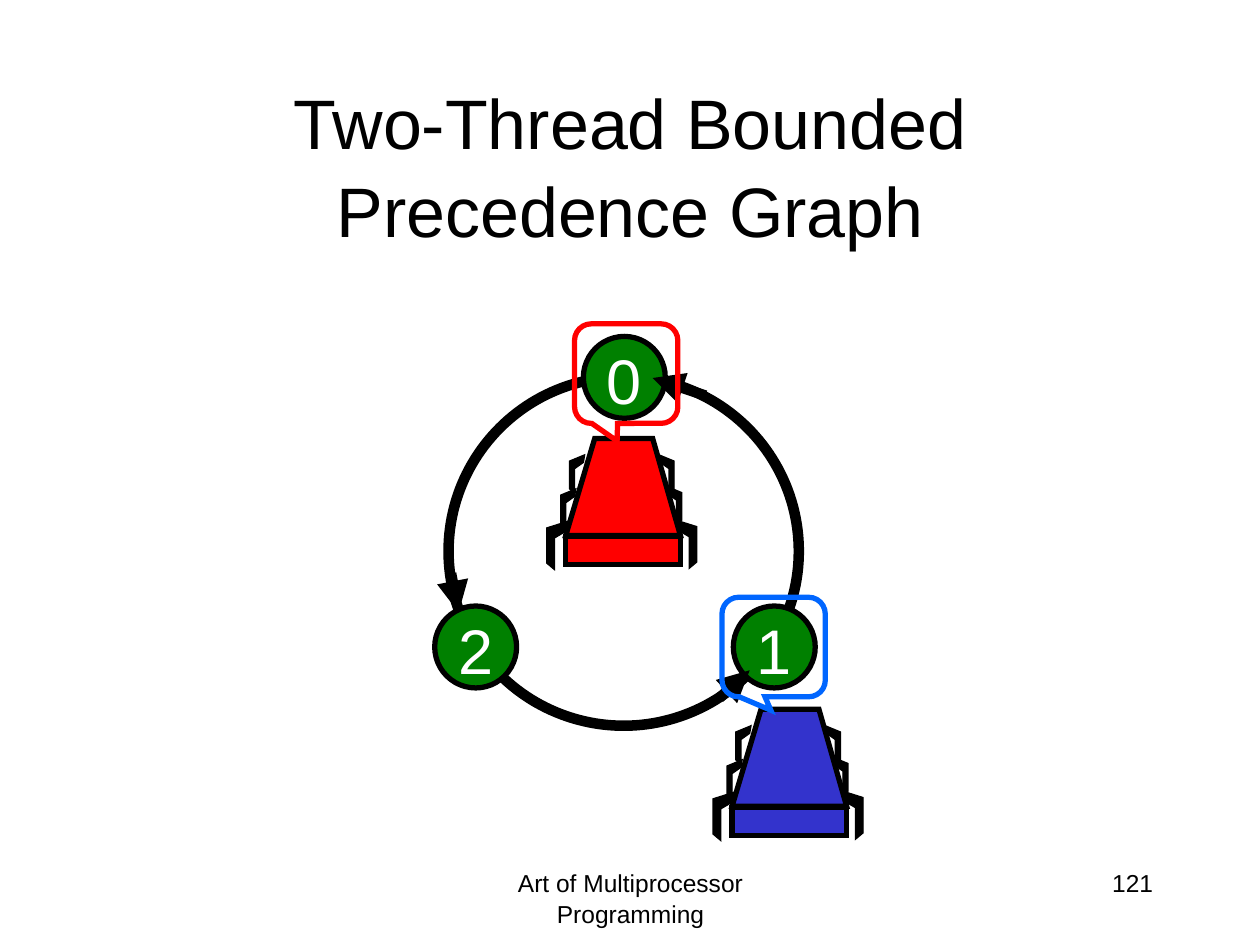
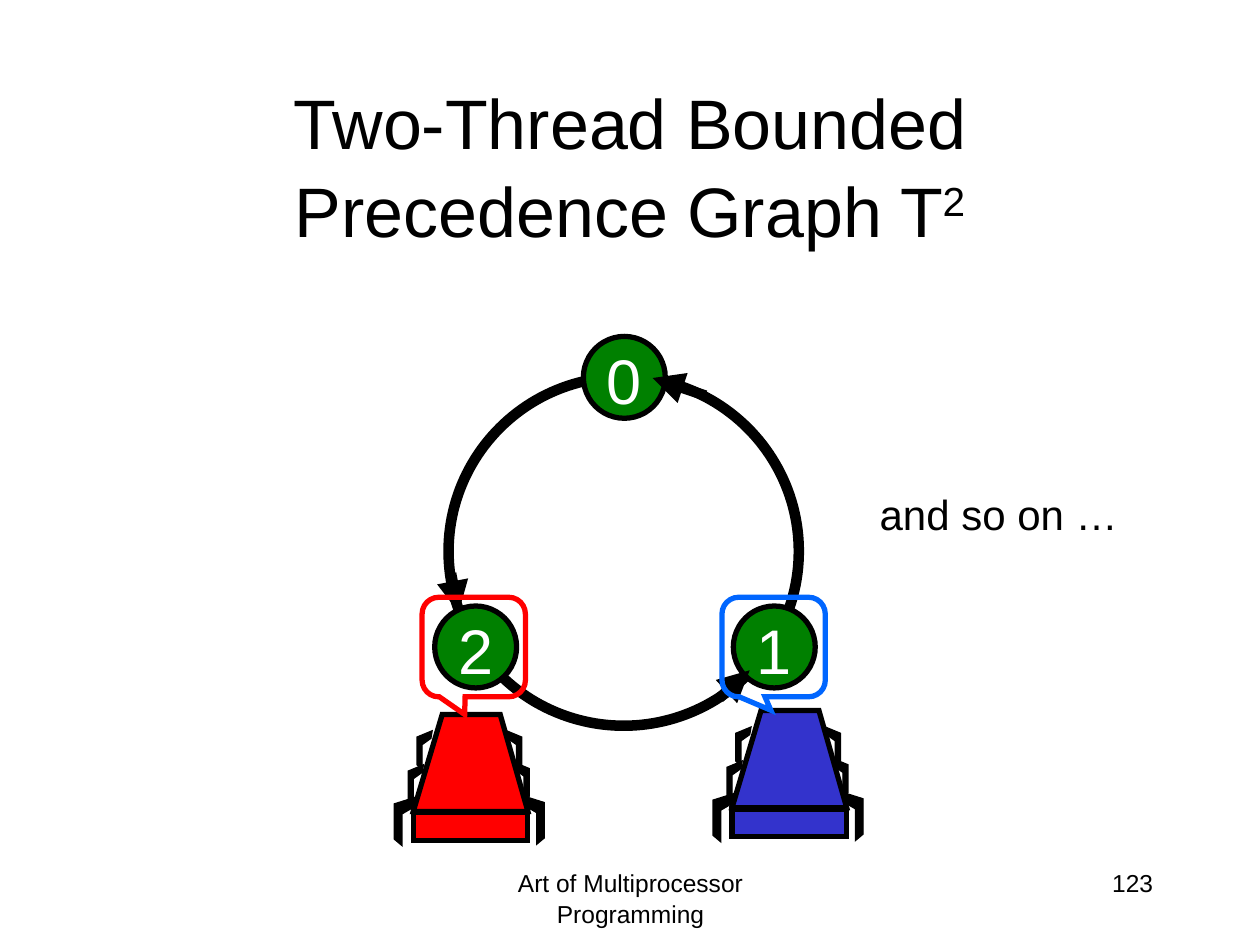
from lxml.etree import SubElement
from pptx import Presentation
from pptx.dml.color import RGBColor
from pptx.enum.shapes import MSO_CONNECTOR, MSO_SHAPE
from pptx.enum.text import MSO_ANCHOR as ANCHOR, PP_ALIGN as ALIGN
from pptx.oxml.ns import qn
from pptx.util import Inches, Pt

# Shared look
FONT = "Arial"
BLACK, WHITE, GREEN = "000000", "FFFFFF", "008000"
RED, BLUE, BRIGHT_BLUE = "FF0000", "3333CC", "0066FF"
LINE_SPACING = 1.05
FOOTER = "Art of Multiprocessor Programming"
TITLE = "Two-Thread Bounded Precedence Graph"

# Graph: node positions and the arrowheads laid along the ring
NODE_SIZE = 0.65
NODES = {"0": (4.63, 2.67), "1": (5.82, 4.81), "2": (3.45, 4.81)}
ARROWS = [(3.58, 4.55, 3.64, 4.86), (5.71, 5.54, 5.95, 5.32),
          (5.6, 3.14, 5.18, 3)]

# Thread figure: outlines and leg joints relative to the body's corner
BODY = [(0, 0.77), (0.23, 0), (0.69, 0), (0.91, 0.77)]
BIG_LEG = [(0, 0), (0.19, 0.06), (0.19, 0.34), (0.13, 0.39),
           (0.13, 0.14), (0.01, 0.07)]
SMALL_LEG = [(0, 0), (0.12, 0.05), (0.12, 0.27), (0.08, 0.31),
             (0.08, 0.11), (0.01, 0.06)]
LEGS = [(BIG_LEG, 0.85, 0.64, 1), (SMALL_LEG, 0.8, 0.38, 1),
        (SMALL_LEG, 0.74, 0.13, 1), (BIG_LEG, 0.04, 0.65, -1),
        (SMALL_LEG, 0.08, 0.4, -1), (SMALL_LEG, 0.15, 0.13, -1)]

# Callout pointers per thread colour
RED_POINTER = (-0.088, 0.677, 0.167)
BLUE_POINTER = (-0.027, 0.635, 0.167)


def rgb(value):
    return RGBColor.from_string(value)


def style(sp, fill, line, width):
    sp.shadow.inherit = False
    if fill:
        sp.fill.solid()
        sp.fill.fore_color.rgb = rgb(fill)
    else:
        sp.fill.background()
    sp.line.color.rgb = rgb(line)
    sp.line.width = Pt(width)
    SubElement(sp.line._get_or_add_ln(), qn("a:miter"), lim="800000")


def write(sp, text, size, color=BLACK, align=ALIGN.CENTER,
          anchor=ANCHOR.TOP, wrap=True, superscript=""):
    tf = sp.text_frame
    frame = {"word_wrap": wrap, "vertical_anchor": anchor,
             "margin_left": Inches(0.1), "margin_right": Inches(0.1),
             "margin_top": Inches(0.05), "margin_bottom": Inches(0.05)}
    for name, value in frame.items():
        setattr(tf, name, value)
    p = tf.paragraphs[0]
    p.alignment, p.line_spacing = align, LINE_SPACING
    for part in filter(None, (text, superscript)):
        r = p.add_run()
        r.text = part
        for name, value in {"name": FONT, "size": Pt(size)}.items():
            setattr(r.font, name, value)
        r.font.color.rgb = rgb(color)
    if superscript:
        r.font._element.set("baseline", "30000")


def add_text(s, box, text, size, **options):
    write(s.shapes.add_textbox(*map(Inches, box)), text, size, **options)


def add_shape(s, kind, box, fill, line, width):
    sp = s.shapes.add_shape(kind, *map(Inches, box))
    style(sp, fill, line, width)
    return sp


def add_outline(s, points, fill, width):
    points = [(Inches(x), Inches(y)) for x, y in points]
    builder = s.shapes.build_freeform(*points[0])
    builder.add_line_segments(points[1:], close=True)
    style(builder.convert_to_shape(), fill, BLACK, width)


def add_arrow(s, ends):
    line = s.shapes.add_connector(MSO_CONNECTOR.STRAIGHT, *map(Inches, ends))
    line.line.color.rgb = rgb(BLACK)
    line.line.width = Pt(6)
    SubElement(line.line._get_or_add_ln(), qn("a:tailEnd"), type="triangle")
    SubElement(line._element.spPr, qn("a:effectLst"))


def add_thread(s, left, top, color):
    def placed(points, dx=0, dy=0, side=1):
        return [(left + dx + side * x, top + dy + y) for x, y in points]

    for leg, dx, dy, side in LEGS:
        add_outline(s, placed(leg, dx, dy, side), BLACK, 0.75)
    add_outline(s, placed(BODY), color, 3)
    add_shape(s, MSO_SHAPE.RECTANGLE, (left, top + 0.78, 0.91, 0.22),
              color, BLACK, 3)


def add_callout(s, left, top, color, pointer):
    sp = add_shape(s, MSO_SHAPE.ROUNDED_RECTANGULAR_CALLOUT,
                   (left, top, 0.82, 0.79), None, color, 3)
    for i, value in enumerate(pointer):
        sp.adjustments[i] = value


def add_graph(s):
    add_shape(s, MSO_SHAPE.OVAL, (3.56, 2.99, 2.78, 2.77), None, BLACK, 6)
    for label, (left, top) in NODES.items():
        sp = add_shape(s, MSO_SHAPE.OVAL, (left, top, NODE_SIZE, NODE_SIZE),
                       GREEN, BLACK, 3)
        write(sp, label, 36, WHITE, anchor=ANCHOR.MIDDLE, wrap=False)
    for ends in ARROWS:
        add_arrow(s, ends)


def add_graph_slide(prs, number, title, superscript=""):
    s = prs.slides.add_slide(prs.slide_layouts[6])
    add_text(s, (3.42, 6.83, 3.17, 0.5), FOOTER, 14)
    add_text(s, (7.17, 6.83, 2.08, 0.5), str(number), 14, align=ALIGN.RIGHT)
    add_text(s, (0.75, 0.67, 8.5, 1.25), title, 40, anchor=ANCHOR.MIDDLE,
             superscript=superscript)
    add_graph(s)
    return s


def main():
    prs = Presentation()
    prs.slide_width, prs.slide_height = Inches(10), Inches(7.5)

    # Red thread at node 0, blue thread at node 1
    s = add_graph_slide(prs, 121, TITLE)
    add_thread(s, 4.49, 3.48, RED)
    add_thread(s, 5.81, 5.63, BLUE)
    add_callout(s, 4.56, 2.57, RED, RED_POINTER)
    add_callout(s, 5.73, 4.74, BRIGHT_BLUE, BLUE_POINTER)

    # Red thread has moved on to node 2
    s = add_graph_slide(prs, 123, TITLE + " T", superscript="2")
    add_text(s, (6.88, 3.81, 2.09, 0.5), "and so on …", 24,
             align=ALIGN.RIGHT, wrap=False)
    add_thread(s, 5.81, 5.64, BLUE)
    add_callout(s, 5.73, 4.74, BRIGHT_BLUE, BLUE_POINTER)
    add_thread(s, 3.28, 5.67, RED)
    add_callout(s, 3.35, 4.74, RED, RED_POINTER)

    prs.save("out.pptx")


if __name__ == "__main__":
    main()
